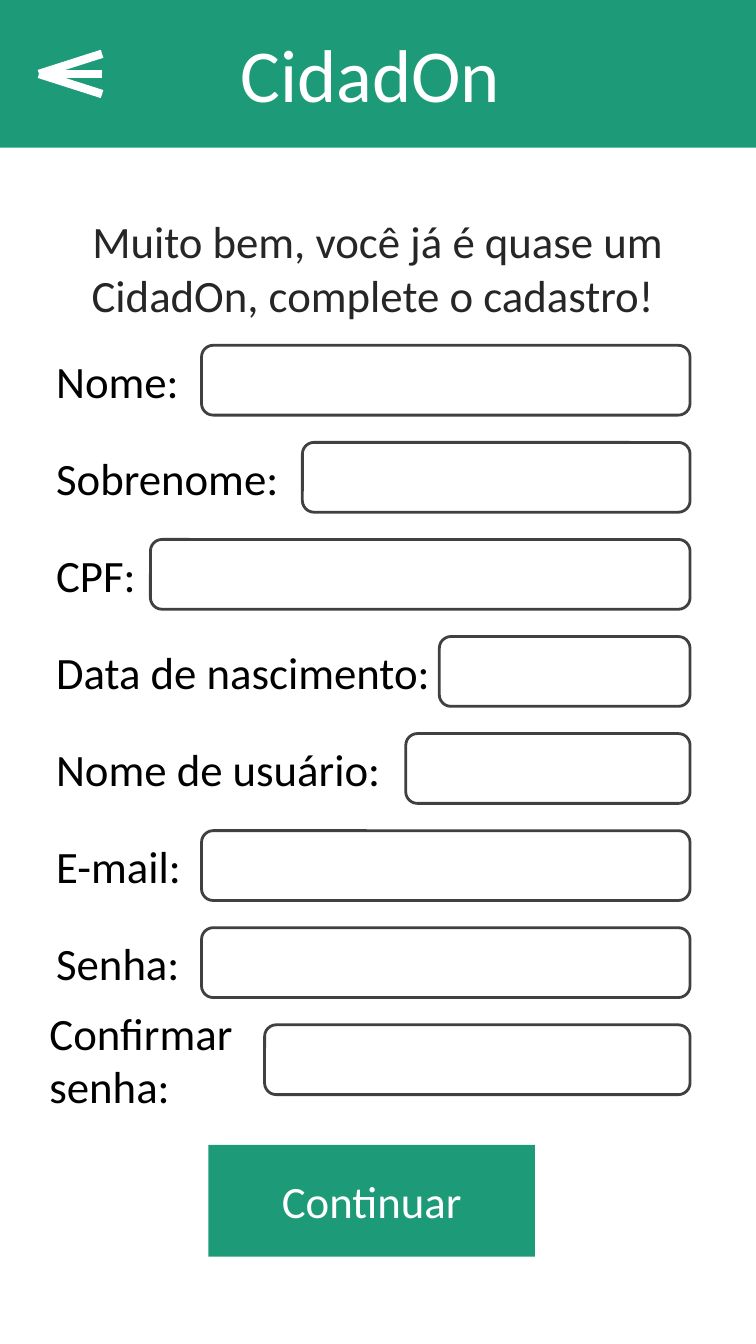
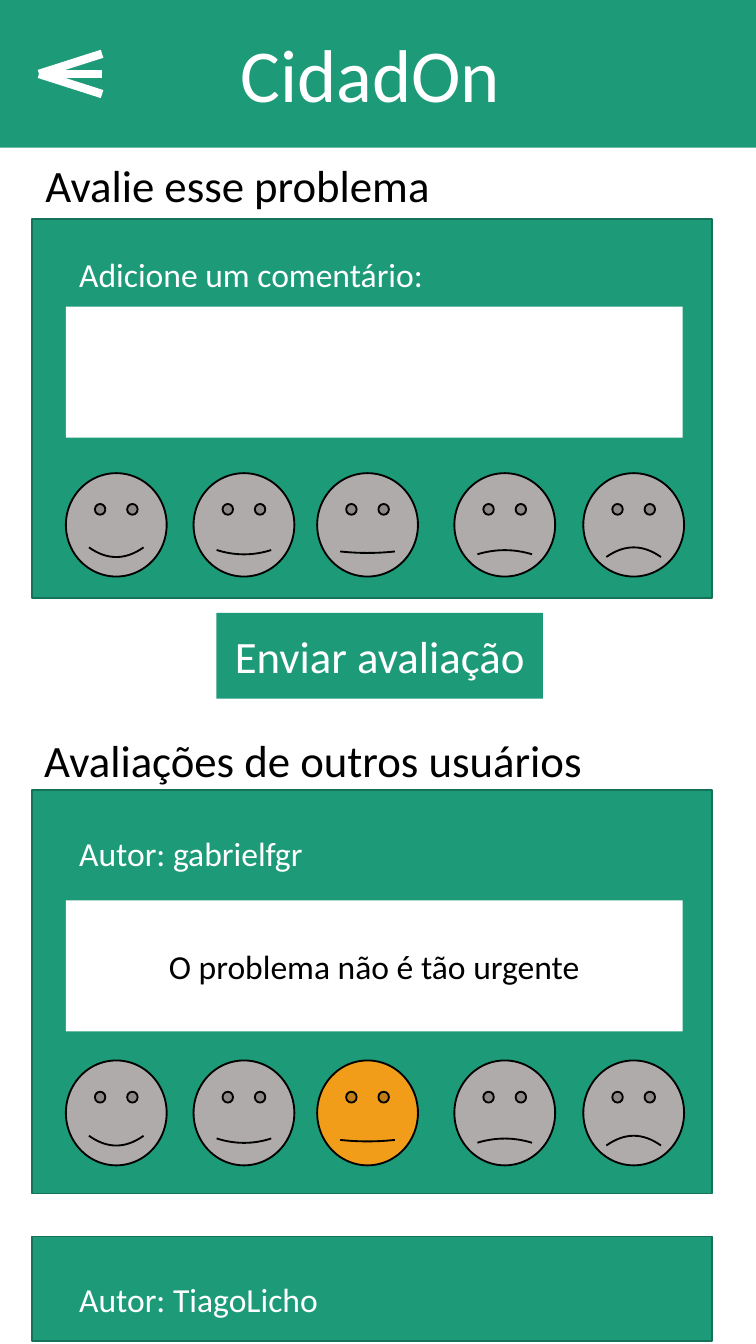
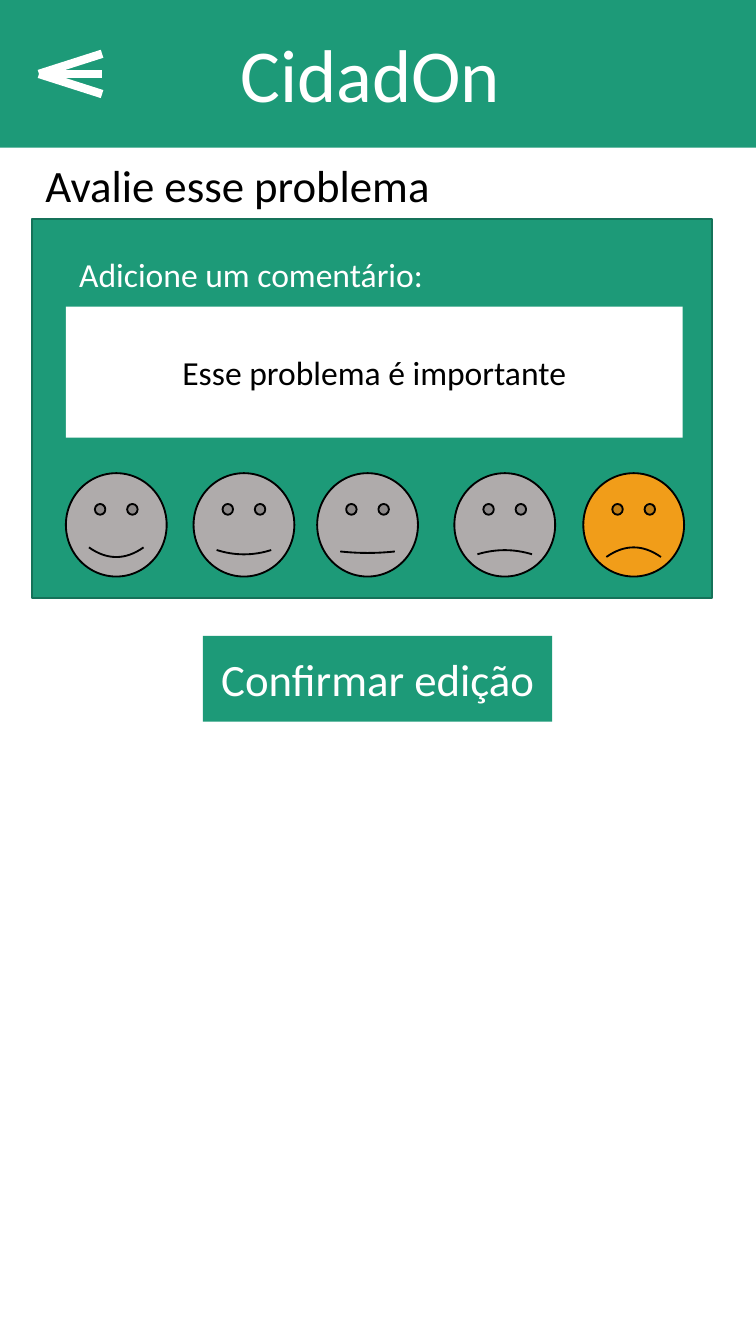
from pptx import Presentation
from pptx.dml.color import RGBColor
from pptx.enum.shapes import MSO_CONNECTOR, MSO_SHAPE
from pptx.enum.text import MSO_ANCHOR, MSO_AUTO_SIZE, PP_ALIGN
from pptx.oxml.ns import qn
from pptx.util import Pt
from lxml import etree

RECT = MSO_SHAPE.RECTANGLE
ROUND = MSO_SHAPE.ROUNDED_RECTANGLE
SMILE = MSO_SHAPE.SMILEY_FACE
LINE = MSO_CONNECTOR.STRAIGHT
TOP, MID = MSO_ANCHOR.TOP, MSO_ANCHOR.MIDDLE
LEFT, CENTER = PP_ALIGN.LEFT, PP_ALIGN.CENTER
GROW, FIXED = MSO_AUTO_SIZE.SHAPE_TO_FIT_TEXT, MSO_AUTO_SIZE.NONE

COLORS = {
    "green": "1D9A78", "edge": "157259", "white": "FFFFFF", "black": "000000",
    "ink": "262626", "frame": "404040", "gray": "AFABAB", "orange": "F19D19",
}
WIDE, HIGH = 405, 720
PAGE = (0, 0, WIDE, HIGH)
HEADER = (0, 0, WIDE, 79.2)
FORM = (23, 185, 346.7, 401.5)
OWN = (17.3, 117.4, 364.3, 203)
OTHER = (17.3, 423.4, 364.3, 216)
NEXT = (17.3, 662.4, 364.3, 56.2)

PITCH, FIELD = 52, 37.4
ROWS = [
    ("Nome:", 85, 85), ("Sobrenome:", 139, 139), ("CPF:", 57.6, 57.6),
    ("Data de nascimento:", 234.7, 212.4), ("Nome de usuário:", 194.4, 194.4),
    ("E-mail:", 85, 85), ("Senha:", 85, 85),
]
FACES = [(18, 0.047), (86.4, 0.021), (152.6, 0.007), (226.1, -0.02), (295.2, -0.047)]
OWN_TOPS = {"label": 15.1, "note": 46.8, "face": 136.1, "size": 55.4}
OTHER_TOPS = {"label": 19.4, "note": 59, "face": 144.7, "size": 56.2}


def color(name):
    return RGBColor.from_string(COLORS[name])


def points(box):
    return [Pt(value) for value in box]


def assign(target, values):
    for key, value in values.items():
        setattr(target, key, value)


def write(shape, text, size, ink, align=LEFT, anchor=TOP, fit=GROW, wrap=True):
    frame = shape.text_frame
    frame.text = text
    assign(frame, {"word_wrap": wrap, "auto_size": fit, "vertical_anchor": anchor})
    para = frame.paragraphs[0]
    para.alignment = align
    font = para.runs[0].font
    assign(font, {"name": "Calibri", "size": Pt(size)})
    font.color.rgb = color(ink)


def label(slide, box, text, size=24, ink="black", **style):
    write(slide.shapes.add_textbox(*points(box)), text, size, ink, **style)


def block(slide, box, fill=None, line=None, width=1, kind=RECT):
    shape = slide.shapes.add_shape(kind, *points(box))
    shape.shadow.inherit = False
    if fill:
        shape.fill.solid()
        shape.fill.fore_color.rgb = color(fill)
    else:
        shape.fill.background()
    if line:
        shape.line.color.rgb = color(line)
        shape.line.width = Pt(width)
    else:
        shape.line.fill.background()
    return shape


def button(slide, box, text):
    shape = block(slide, box, "green")
    write(shape, text, 24, "white", CENTER, MID, FIXED)


def header(slide, box):
    x, y, w, h = box
    band = block(slide, box, "green")
    title = slide.shapes.title
    title.element.addprevious(band.element)
    spot = points((x + 121.7, y + 11.5, 161.3, 55.4))
    assign(title, dict(zip(("left", "top", "width", "height"), spot)))
    write(title, "CidadOn", 40, "white")
    arrow = slide.shapes.add_group_shape()
    mid = y + h / 2
    for rise in (-10.8, 0, 10.8):
        ends = points((x + 20.9, mid, x + 54.7, mid + rise))
        stroke = arrow.shapes.add_connector(LINE, *ends)
        stroke.line.color.rgb = color("white")
        stroke.line.width = Pt(4.5)
        etree.SubElement(stroke.element.spPr, qn("a:effectLst"))


def field(slide, box, start):
    x, y, w, h = box
    block(slide, (x + start, y, w - start, h), None, "frame", 1.5, ROUND)


def form(slide, box):
    x, y, w, h = box
    for row, (text, width, start) in enumerate(ROWS):
        top = y + row * PITCH
        label(slide, (x, top + 0.7, width, 36), text)
        field(slide, (x, top, w, FIELD), start)
    top = y + len(ROWS) * PITCH
    label(slide, (x - 3.6, top + (FIELD - 65.5) / 2, 121.7, 65.5), "Confirmar senha:")
    field(slide, (x, top, w, FIELD), 118.8)


def faces(slide, box, pick):
    x, y, w, h = box
    for rank, (left, curve) in enumerate(FACES):
        fill = "orange" if rank == pick else "gray"
        face = block(slide, (x + left, y, 54, h), fill, "black", kind=SMILE)
        face.adjustments[0] = curve


def card(slide, box, text, tops):
    x, y, w, h = box
    block(slide, box, "green", "edge")
    label(slide, (x + 18, y + tops["label"], 200.9, 28.8), text, 18, "white", wrap=False)


def review(slide, box, text, tops, note="", pick=None):
    x, y, w, h = box
    card(slide, box, text, tops)
    area = block(slide, (x + 18, y + tops["note"], 330.5, 70.2), "white")
    if note:
        write(area, note, 18, "black", CENTER, MID, FIXED)
    faces(slide, (x, y + tops["face"], w, tops["size"]), pick)


def rate(slide, box, note="", pick=None):
    x, y, w, h = box
    label(slide, (x, y - 36.7, 224, 36), "Avalie esse problema")
    review(slide, box, "Adicione um comentário:", OWN_TOPS, note, pick)


def signup(slide, box):
    x, y, w, h = box
    intro = "Muito bem, você já é quase um CidadOn, complete o cadastro! "
    label(slide, (x + 28.8, y + 110.9, 347, 65.5), intro, ink="ink", align=CENTER)
    form(slide, FORM)
    button(slide, (x + 111.6, y + 613.4, 175, 59.8), "Continuar")


def opinions(slide, box):
    x, y, w, h = box
    rate(slide, OWN)
    button(slide, (x + 115.9, y + 328.3, 175, 46), "Enviar avaliação")
    label(slide, (x + 16.6, y + 388.8, 365, 36), "Avaliações de outros usuários")
    review(slide, OTHER, "Autor: gabrielfgr", OTHER_TOPS, "O problema não é tão urgente", 2)
    card(slide, NEXT, "Autor: TiagoLicho", OTHER_TOPS)


def edit(slide, box):
    x, y, w, h = box
    rate(slide, OWN, "Esse problema é importante", 4)
    button(slide, (x + 108.7, y + 340.6, 187.2, 46), "Confirmar edição")


def main():
    deck = Presentation()
    assign(deck, {"slide_width": Pt(WIDE), "slide_height": Pt(HIGH)})
    for build in (signup, opinions, edit):
        slide = deck.slides.add_slide(deck.slide_layouts[5])
        header(slide, HEADER)
        build(slide, PAGE)
    deck.save("out.pptx")


if __name__ == "__main__":
    main()
